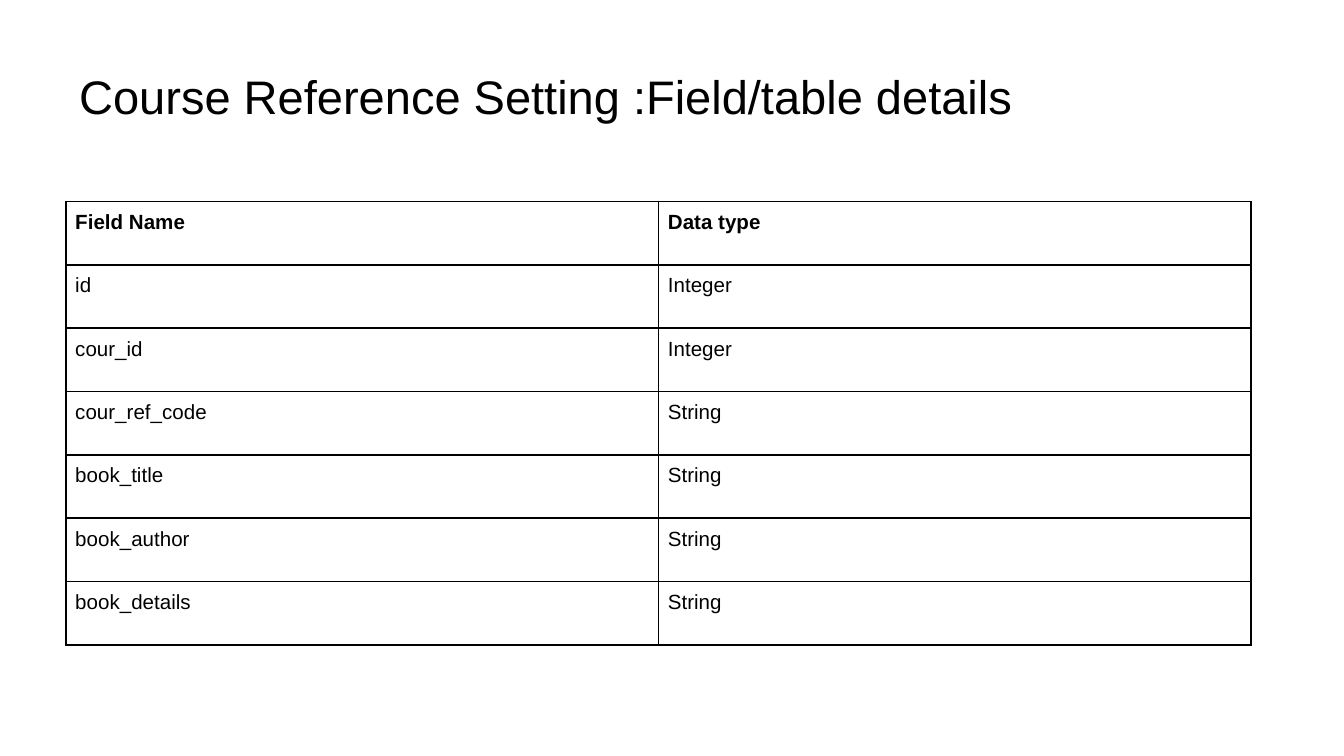
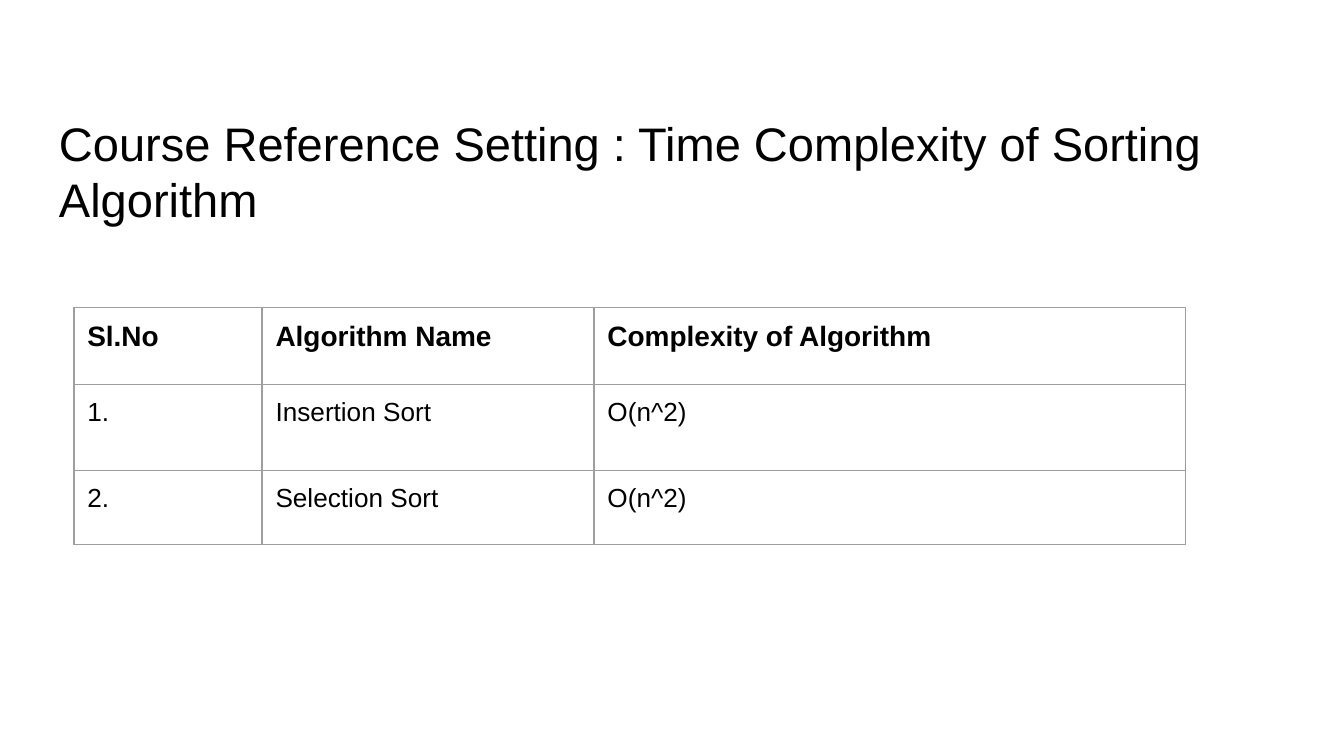
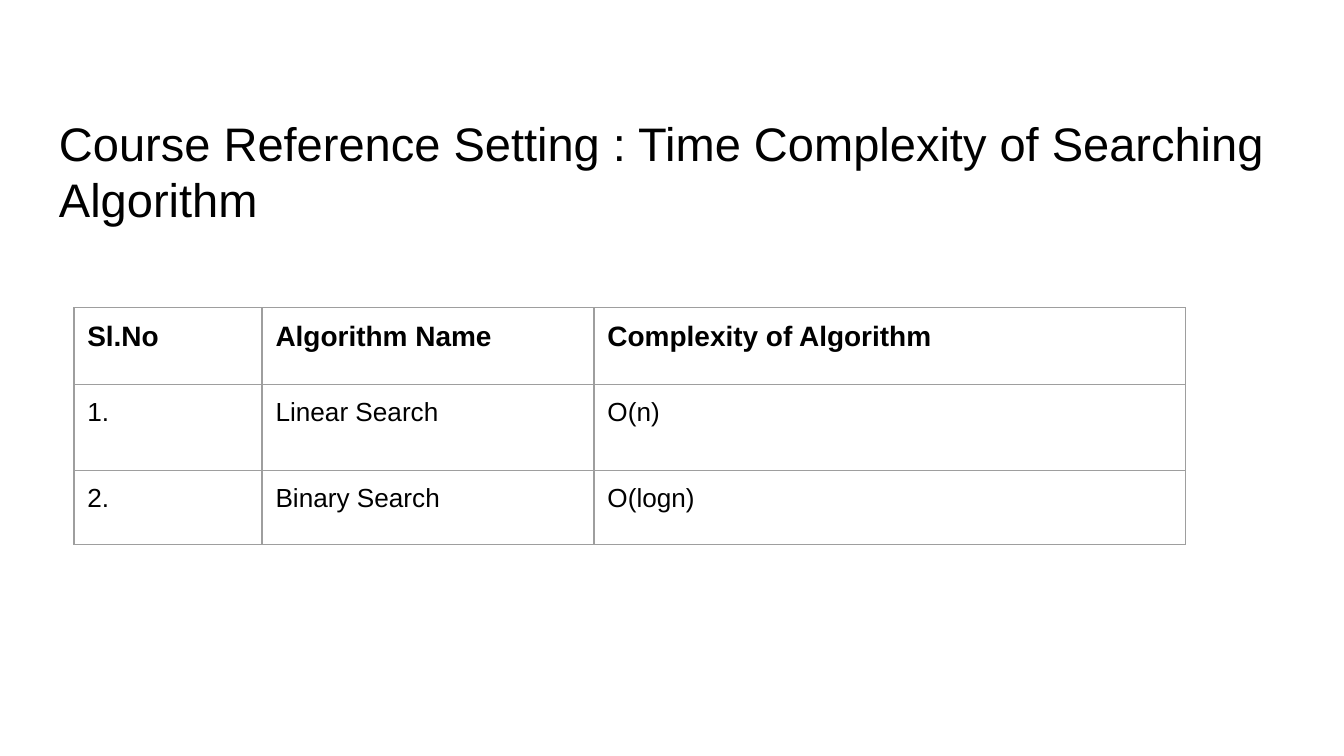
from pptx import Presentation
from pptx.dml.color import RGBColor
from pptx.oxml import parse_xml
from pptx.oxml.ns import nsdecls
from pptx.util import Inches, Pt

# Content
FIELDS = [
    ("Field Name", "Data type"),
    ("id", "Integer"),
    ("cour_id", "Integer"),
    ("cour_ref_code", "String"),
    ("book_title", "String"),
    ("book_author", "String"),
    ("book_details", "String"),
]
COMPLEXITY_HEADER = ("Sl.No", "Algorithm Name", "Complexity of Algorithm")
SORTING = [("Insertion Sort", "O(n^2)"), ("Selection Sort", "O(n^2)")]
SEARCHING = [("Linear Search", "O(n)"), ("Binary Search", "O(logn)")]

# Shared look, lengths in inches; the slide is 16:9
SLIDE_WIDTH = 10
SLIDE_HEIGHT = SLIDE_WIDTH * 9 / 16
FONT, INK, GREY = "Arial", "000000", "9E9E9E"
TITLE_SIZE = 25.2
TITLE_WIDTH, TITLE_HEIGHT, TITLE_INSET = 9.32, 0.63, 0.1

FIELD_STYLE = dict(
    title_at=(0.49, 0.4), table_at=(0.49, 1.5),
    columns=[4.41] * 2, rows=[3.3 / len(FIELDS)] * len(FIELDS),
    inset=0.07, header_size=11, body_size=11, border=INK, border_width=1)
COMPLEXITY_STYLE = dict(
    title_at=(0.34, 0.75), table_at=(0.55, 2.29),
    columns=[1.4, 2.47, 4.4], rows=[0.57, 0.64, 0.55],
    inset=0.1, header_size=15, body_size=14, border=GREY, border_width=0.75)


def color(hex_value):
    return RGBColor.from_string(hex_value)


def write(frame, text, size, bold=False):
    run = frame.paragraphs[0].add_run()
    run.text = text
    run.font.name = FONT
    run.font.size = Pt(size)
    run.font.bold = bold
    run.font.color.rgb = color(INK)


def set_insets(holder, inset):
    holder.margin_left = holder.margin_right = Inches(inset)
    holder.margin_top = holder.margin_bottom = Inches(inset)


def add_title(slide, text, at):
    left, top = at
    frame = slide.shapes.add_textbox(
        Inches(left), Inches(top), Inches(TITLE_WIDTH), Inches(TITLE_HEIGHT)).text_frame
    frame.word_wrap = True
    set_insets(frame, TITLE_INSET)
    write(frame, text, TITLE_SIZE)


def outline(cell, hex_value, width):
    properties = cell._tc.get_or_add_tcPr()
    for position, side in enumerate(("lnL", "lnR", "lnT", "lnB")):
        properties.insert(position, parse_xml(
            f'<a:{side} {nsdecls("a")} w="{Pt(width)}"><a:solidFill>'
            f'<a:srgbClr val="{hex_value}"/></a:solidFill></a:{side}>'))


def add_grid(slide, entries, style):
    columns, rows = style["columns"], style["rows"]
    left, top = style["table_at"]
    table = slide.shapes.add_table(
        len(rows), len(columns), Inches(left), Inches(top),
        Inches(sum(columns)), Inches(sum(rows))).table
    table.first_row = table.horz_banding = False
    for column, width in zip(table.columns, columns):
        column.width = Inches(width)
    for row_index, (row, height) in enumerate(zip(table.rows, rows)):
        row.height = Inches(height)
        header = row_index == 0
        size = style["header_size"] if header else style["body_size"]
        for cell, text in zip(row.cells, entries[row_index]):
            cell.fill.background()
            set_insets(cell, style["inset"])
            outline(cell, style["border"], style["border_width"])
            write(cell.text_frame, text, size, bold=header)


def complexity_rows(algorithms):
    numbered = [(f"{number}.", *row) for number, row in enumerate(algorithms, 1)]
    return [COMPLEXITY_HEADER] + numbered


SLIDES = [
    ("Course Reference Setting :Field/table details", FIELDS, FIELD_STYLE),
    ("Course Reference Setting : Time Complexity of Sorting Algorithm",
     complexity_rows(SORTING), COMPLEXITY_STYLE),
    ("Course Reference Setting : Time Complexity of Searching Algorithm",
     complexity_rows(SEARCHING), COMPLEXITY_STYLE),
]


def main():
    deck = Presentation()
    deck.slide_width, deck.slide_height = Inches(SLIDE_WIDTH), Inches(SLIDE_HEIGHT)
    for title, entries, style in SLIDES:
        slide = deck.slides.add_slide(deck.slide_layouts[6])
        add_title(slide, title, style["title_at"])
        add_grid(slide, entries, style)
    deck.save("out.pptx")


if __name__ == "__main__":
    main()
